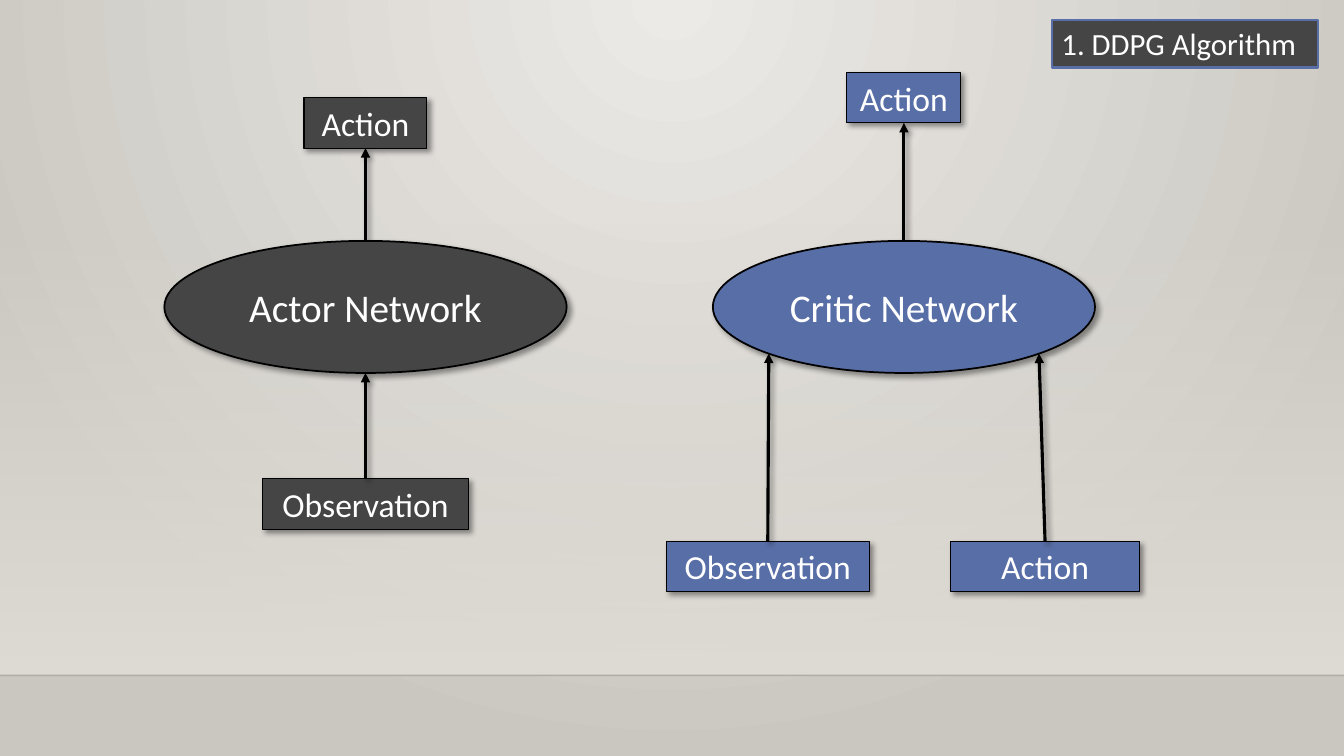
from lxml import etree
from pptx import Presentation
from pptx.dml.color import RGBColor
from pptx.enum.shapes import MSO_CONNECTOR, MSO_SHAPE
from pptx.enum.text import MSO_ANCHOR, MSO_AUTO_SIZE, PP_ALIGN
from pptx.oxml.ns import qn
from pptx.util import Inches, Pt

RECT, OVAL = MSO_SHAPE.RECTANGLE, MSO_SHAPE.OVAL
STRAIGHT = MSO_CONNECTOR.STRAIGHT
LEFT, CENTER = PP_ALIGN.LEFT, PP_ALIGN.CENTER
TOP, MIDDLE = MSO_ANCHOR.TOP, MSO_ANCHOR.MIDDLE
GROW, FIXED = MSO_AUTO_SIZE.SHAPE_TO_FIT_TEXT, MSO_AUTO_SIZE.NONE

COLORS = {
    "dark": "454545",
    "blue": "586EA6",
    "black": "000000",
    "white": "FFFFFF",
    "glow": "ECEAE7",
    "edge": "CAC7C1",
    "wall": "DFDBD5",
}
SLIDE_W, SLIDE_H = 13.33, 7.5
FLOOR_TOP = 6.7
LABEL_H = 0.5


def rgb(name):
    return RGBColor.from_string(COLORS[name])


def add_node(parent, tag, **attributes):
    node = etree.SubElement(parent, qn(tag))
    for key, value in attributes.items():
        node.set(key, str(value))
    return node


def set_alpha(parent, percent):
    color = next(parent.iter(qn("a:srgbClr")))
    add_node(color, "a:alpha", val=percent * 1000)


def set_gradient(fill, names):
    fill.gradient()
    for stop, name, position in zip(fill.gradient_stops, names, (0, 1)):
        stop.color.rgb = rgb(name)
        stop.position = position


def set_shadow(shape, visible):
    properties = shape.element.spPr
    effects = properties.find(qn("a:effectLst"))
    if effects is None:
        effects = add_node(properties, "a:effectLst")
    if visible:
        shadow = add_node(effects, "a:outerShdw", blurRad=Pt(4), dist=Pt(3),
                          dir=45 * 60000, algn="tl", rotWithShape=0)
        add_node(shadow, "a:srgbClr", val=COLORS["black"])
        set_alpha(shadow, 40)


def write_text(shape, text, size=24, align=CENTER, anchor=TOP, fit=GROW):
    frame = shape.text_frame
    frame.word_wrap = True
    frame.auto_size = fit
    frame.vertical_anchor = anchor
    para = frame.paragraphs[0]
    para.alignment = align
    span = para.add_run()
    span.text = text
    span.font.name = "Calibri"
    span.font.size = Pt(size)
    span.font.color.rgb = rgb("white")


def add_block(page, box, text, fill, kind=RECT, line="black", weight=0.75,
              shadow=True, **text_format):
    shape = page.shapes.add_shape(kind, *map(Inches, box))
    shape.fill.solid()
    shape.fill.fore_color.rgb = rgb(fill)
    shape.line.color.rgb = rgb(line)
    shape.line.width = Pt(weight)
    shape.shadow.inherit = False
    set_shadow(shape, shadow)
    write_text(shape, text, **text_format)


def add_line(page, start, end, weight=2.25, arrow=True, opacity=100):
    line = page.shapes.add_connector(STRAIGHT, *map(Inches, start + end))
    line.line.color.rgb = rgb("black")
    line.line.width = Pt(weight)
    stroke = line.element.spPr.find(qn("a:ln"))
    if opacity < 100:
        set_alpha(stroke, opacity)
    if arrow:
        add_node(stroke, "a:tailEnd", type="triangle")
    set_shadow(line, arrow)


def add_backdrop(page, box):
    left, top, width, height = box
    set_gradient(page.background.fill, ("glow", "edge"))
    gradient = next(page.element.iter(qn("a:gradFill")))
    gradient.remove(gradient.find(qn("a:lin")))
    circle = add_node(gradient, "a:path", path="circle")
    add_node(circle, "a:fillToRect", l=43000, t=0, r=43000, b=100000)

    wall_top = top + 2.21
    wall = page.shapes.add_shape(RECT, *map(Inches, (
        left, wall_top, width, top + FLOOR_TOP - wall_top)))
    set_gradient(wall.fill, ("wall", "wall"))
    wall.fill.gradient_angle = 270
    set_alpha(wall.element.spPr, 0)
    wall.line.fill.background()
    wall.shadow.inherit = False
    add_line(page, (left, top + FLOOR_TOP), (left + width, top + FLOOR_TOP),
             weight=1, arrow=False, opacity=20)


def add_network(page, box, name, fill, output, inputs):
    left, top, width, height = box
    middle = left + width / 2
    rise, output_width = output
    output_top = top - rise
    add_block(page, (middle - output_width / 2, output_top, output_width, LABEL_H),
              "Action", fill)
    add_line(page, (middle, top), (middle, output_top + LABEL_H))
    add_block(page, box, name, fill, kind=OVAL, weight=1.25, size=28,
              anchor=MIDDLE, fit=FIXED)
    for text, offset, drop, label_width, tip in inputs:
        center = middle + offset
        label_top = top + drop
        add_block(page, (center - label_width / 2, label_top, label_width, LABEL_H),
                  text, fill)
        add_line(page, (center, label_top),
                 (middle + tip[0] * width / 2, top + height / 2 + tip[1] * height / 2))


def main():
    deck = Presentation()
    deck.slide_width, deck.slide_height = Inches(SLIDE_W), Inches(SLIDE_H)
    page = deck.slides.add_slide(deck.slide_layouts[6])
    add_backdrop(page, (0, 0, SLIDE_W, SLIDE_H))
    add_block(page, (10.43, 0.2, 2.64, 0.47), "1. DDPG Algorithm", "dark",
              line="blue", weight=1.5, shadow=False, size=22, align=LEFT)

    diagonal = 0.5 ** 0.5
    add_network(page, (1.63, 2.39, 3.99, 1.31), "Actor Network", "dark",
                output=(1.42, 1.22),
                inputs=[("Observation", 0, 2.36, 2.04, (0, 1))])
    add_network(page, (7.07, 2.39, 3.79, 1.31), "Critic Network", "blue",
                output=(1.67, 1.13),
                inputs=[("Observation", -1.35, 2.98, 2.01, (-diagonal, diagonal)),
                        ("Action", 1.4, 2.98, 1.88, (diagonal, diagonal))])
    deck.save("out.pptx")


if __name__ == "__main__":
    main()
